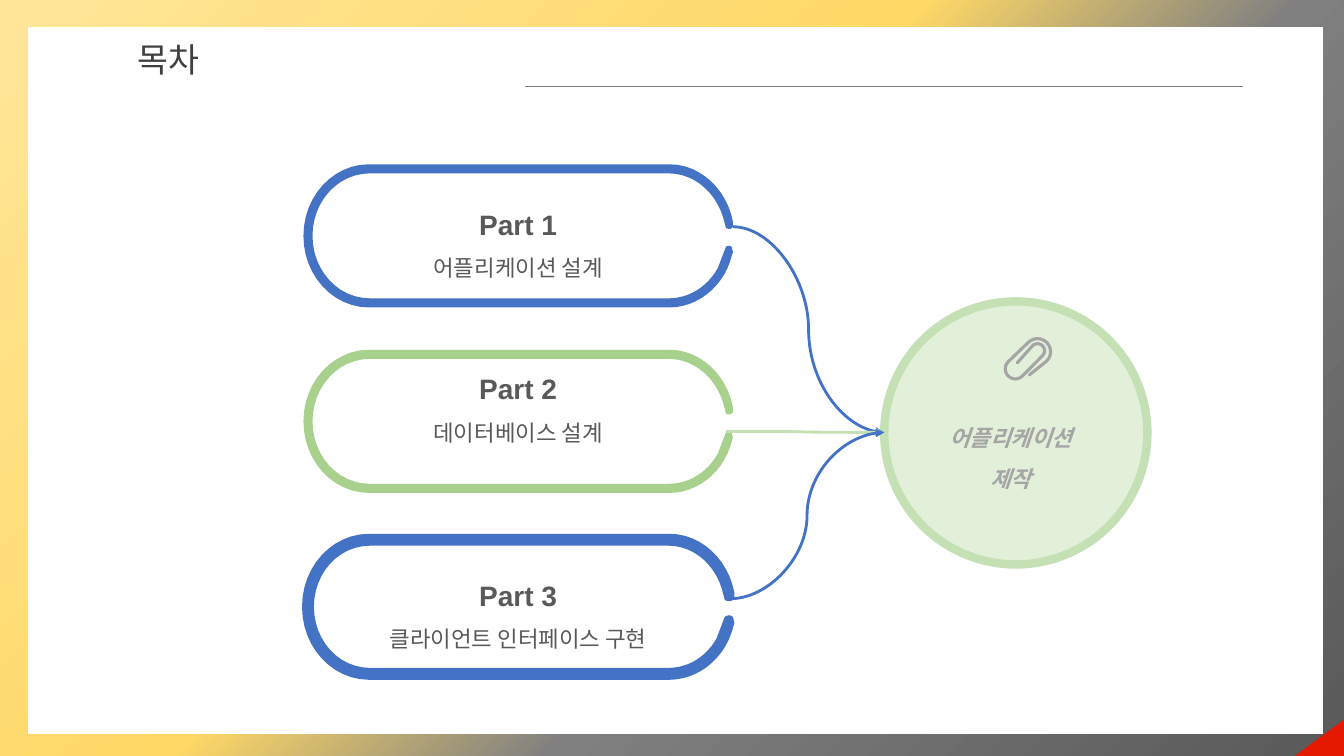
"""Build the contents slide: three parts leading to one application."""
from dataclasses import dataclass
from math import cos, radians, sin
from typing import Any

from lxml import etree
from pptx import Presentation
from pptx import util as u
from pptx.dml.color import RGBColor
from pptx.enum import shapes, text
from pptx.oxml.ns import qn

BLUE = RGBColor(0x44, 0x72, 0xC4)
GREEN = RGBColor(0xA9, 0xD1, 0x8E)
PALE_GREEN = RGBColor(0xC5, 0xE0, 0xB4)
MINT = RGBColor(0xE2, 0xF0, 0xD9)
RED = RGBColor(0xE4, 0x1A, 0x00)
WHITE = RGBColor(0xFF, 0xFF, 0xFF)
RULE_GRAY = RGBColor(0x7F, 0x7F, 0x7F)
LIGHT_GRAY = RGBColor(0xA5, 0xA5, 0xA5)
TEXT_GRAY = RGBColor(0x59, 0x59, 0x59)
TITLE_GRAY = RGBColor(0x3F, 0x3F, 0x3F)
BACKDROP = ((0, TEXT_GRAY), (38, RGBColor(0x80, 0x80, 0x80)),
            (56, RGBColor(0xFF, 0xD9, 0x66)), (100, RGBColor(0xFF, 0xE6, 0x99)))

PART_LEFT, PART_TOP, PART_STEP = 3.01, 1.63, 1.84
TARGET = (8.77, 4.29)
HEADING = {"size": u.Pt(20), "bold": True}
DETAIL = {"size": u.Pt(16), "bold": False}
RESULT = {"size": u.Pt(16), "bold": True, "italic": True}

Point = tuple[float, float]

RING_START = (0.65, 0)
RING = (
    (3.63, 0), (3.94, 0, 4.2, 0.25, 4.26, 0.57), (4.26, 0.62),
    (4.25, 0.63, 4.24, 0.64, 4.23, 0.64), (4.21, 0.64, 4.2, 0.64, 4.19, 0.63),
    (4.18, 0.59), (4.12, 0.31, 3.9, 0.09, 3.62, 0.09), (0.66, 0.09),
    (0.34, 0.09, 0.09, 0.37, 0.09, 0.71), (0.09, 1.05, 0.34, 1.33, 0.66, 1.33),
    (3.62, 1.33), (3.83, 1.33, 4.01, 1.21, 4.11, 1.03), (4.19, 0.82),
    (4.2, 0.81, 4.21, 0.81, 4.23, 0.81), (4.24, 0.81, 4.25, 0.82, 4.25, 0.83),
    (4.26, 0.87), (4.23, 0.97), (4.14, 1.23, 3.9, 1.42, 3.63, 1.42),
    (0.65, 1.42), (0.29, 1.42, 0, 1.1, 0, 0.71), (0, 0.32, 0.29, 0, 0.65, 0),
)


@dataclass(frozen=True)
class Part:
    """One ring with its wording and the arrow that leaves it."""
    heading: str
    detail: str
    color: RGBColor
    arrow_color: RGBColor
    arrow_start: Point
    outline: float = 0
    insets: Point = (0.05, 0.05)


@dataclass(frozen=True)
class Bend:
    """A half-circle turn of the paper clip."""
    center: Point
    radius: float
    first_angle: int


PARTS = (
    Part("Part 1", "어플리케이션 설계", BLUE, BLUE, (7.27, 2.25)),
    Part("Part 2", "데이터베이스 설계", GREEN, PALE_GREEN, (7.2, 4.28), insets=(0, 0.42)),
    Part("Part 3", "클라이언트 인터페이스 구현", BLUE, BLUE, (7.24, 5.94), outline=2),
)
CLIP_BENDS = (Bend((10.29, 3.49), 0.13, 45), Bend((10.07, 3.66), 0.1, -135),
              Bend((10.29, 3.48), 0.07, 45))


def apply(target: Any, formats: dict[str, Any]) -> None:
    """Set every attribute named in formats."""
    for name, value in formats.items():
        setattr(target, name, value)


def paint(shape: Any, fill: RGBColor | None, line: RGBColor | None = None, width: float = 0) -> None:
    """Give a shape its fill and outline without a shadow."""
    shape.shadow.inherit = False
    if fill is None:
        shape.fill.background()
    else:
        shape.fill.solid()
        shape.fill.fore_color.rgb = fill
    if line is None:
        shape.line.fill.background()
    else:
        shape.line.color.rgb = line
        shape.line.width = u.Pt(width)


def add_preset(page: Any, kind: Any, area: tuple[float, ...], fill: RGBColor,
               line: RGBColor | None = None, width: float = 0) -> Any:
    """Add a painted preset shape."""
    shape = page.shapes.add_shape(kind, *map(u.Inches, area))
    paint(shape, fill, line, width)
    return shape


def add_outline(page: Any, points: list[Point], close: bool) -> Any:
    """Add a freeform through points given in inches."""
    (first, *rest) = [(u.Inches(x), u.Inches(y)) for x, y in points]
    builder = page.shapes.build_freeform(*first)
    builder.add_line_segments(rest, close=close)
    return builder.convert_to_shape()


def write(box: Any, lines: list[tuple[str, dict[str, Any]]], color: RGBColor,
          align: Any = text.PP_ALIGN.CENTER, spacing: float = 1.5) -> None:
    """Fill a text frame with one paragraph per line."""
    frame = box.text_frame
    frame.word_wrap = True
    for index, (words, formats) in enumerate(lines):
        para = frame.add_paragraph() if index else frame.paragraphs[0]
        apply(para, {"alignment": align, "line_spacing": spacing})
        span = para.add_run()
        span.text = words
        apply(span.font, {"name": "Arial", **formats})
        span.font.color.rgb = color


def add_line(page: Any, kind: Any, start: Point, end: Point, color: RGBColor, width: float) -> Any:
    """Add a connector without a shadow and return its line element."""
    connector = page.shapes.add_connector(kind, *map(u.Inches, start + end))
    connector.line.color.rgb = color
    connector.line.width = u.Pt(width)
    properties = connector._element.spPr
    etree.SubElement(properties, qn("a:effectLst"))
    return properties.find(qn("a:ln"))


def ring_points(top: float, steps: int = 12) -> list[Point]:
    """Trace the open ring, dividing each curve into short steps."""
    points = [RING_START]
    for segment in RING:
        if len(segment) == 2:
            points.append(segment)
            continue
        x0, y0 = points[-1]
        x1, y1, x2, y2, x3, y3 = segment
        for step in range(1, steps + 1):
            t = step / steps
            a, b, c, d = (1 - t) ** 3, 3 * t * (1 - t) ** 2, 3 * t * t * (1 - t), t ** 3
            points.append((a * x0 + b * x1 + c * x2 + d * x3, a * y0 + b * y1 + c * y2 + d * y3))
    return [(PART_LEFT + x, top + y) for x, y in points]


def add_part(page: Any, part: Part, top: float) -> None:
    """Draw one ring and its wording."""
    ring = add_outline(page, ring_points(top), True)
    paint(ring, part.color, part.color if part.outline else None, part.outline)
    above, below = map(u.Inches, part.insets)
    apply(ring.text_frame, {"vertical_anchor": text.MSO_ANCHOR.MIDDLE,
                            "margin_top": above, "margin_bottom": below})
    write(ring, [(part.heading, HEADING), (part.detail, DETAIL)], TEXT_GRAY)


def add_clip(page: Any) -> None:
    """Draw the paper clip as one bent wire."""
    points = [(10.21, 3.72)]
    for bend in CLIP_BENDS:
        for turn in range(0, 181, 15):
            angle = radians(bend.first_angle - turn)
            points.append((bend.center[0] + bend.radius * cos(angle),
                           bend.center[1] + bend.radius * sin(angle)))
    points.append((10.09, 3.6))
    clip = add_outline(page, points, False)
    paint(clip, None, LIGHT_GRAY, 2.25)
    clip._element.spPr.find(qn("a:ln")).set("cap", "rnd")


def set_backdrop(page: Any) -> None:
    """Spread a round gradient from the lower right corner."""
    page.background.fill.gradient()
    gradient = page._element.find(".//" + qn("a:gradFill"))
    for child in list(gradient):
        gradient.remove(child)
    stops = etree.SubElement(gradient, qn("a:gsLst"))
    for percent, color in BACKDROP:
        stop = etree.SubElement(stops, qn("a:gs"), pos=str(percent * 1000))
        etree.SubElement(stop, qn("a:srgbClr"), val=str(color))
    circle = etree.SubElement(gradient, qn("a:path"))
    circle.set("path", "circle")
    etree.SubElement(circle, qn("a:fillToRect"), l="100000", t="100000")


def main() -> None:
    """Build and save the deck."""
    deck = Presentation()
    apply(deck, {"slide_width": u.Inches(13.33), "slide_height": u.Inches(7.5)})
    page = deck.slides.add_slide(deck.slide_layouts[6])
    set_backdrop(page)
    preset, line_kind = shapes.MSO_SHAPE, shapes.MSO_CONNECTOR
    corner = add_preset(page, preset.RIGHT_TRIANGLE, (12.9, 7.07, 0.37, 0.5), RED)
    corner.rotation = 270
    add_preset(page, preset.RECTANGLE, (0.28, 0.27, 12.84, 7.01), WHITE)
    add_line(page, line_kind.STRAIGHT, (5.21, 0.86), (12.33, 0.86), RULE_GRAY, 1)
    title = page.shapes.add_textbox(*map(u.Inches, (1.27, 0.34, 4.24, 0.5)))
    write(title, [("목차", {"size": u.Pt(24)})], TITLE_GRAY, text.PP_ALIGN.LEFT, 1.0)
    add_preset(page, preset.OVAL, (8.77, 2.99, 2.61, 2.61), MINT, PALE_GREEN, 6)
    add_clip(page)
    for index, part in enumerate(PARTS):
        add_part(page, part, PART_TOP + index * PART_STEP)
    for part in PARTS:
        line = add_line(page, line_kind.CURVE, part.arrow_start, TARGET, part.arrow_color, 2)
        etree.SubElement(line, qn("a:tailEnd"), type="triangle")
    result = page.shapes.add_textbox(*map(u.Inches, (8.8, 4.03, 2.45, 0.86)))
    write(result, [("어플리케이션", RESULT), ("제작", RESULT)], LIGHT_GRAY)
    deck.save("out.pptx")


if __name__ == "__main__":
    main()
